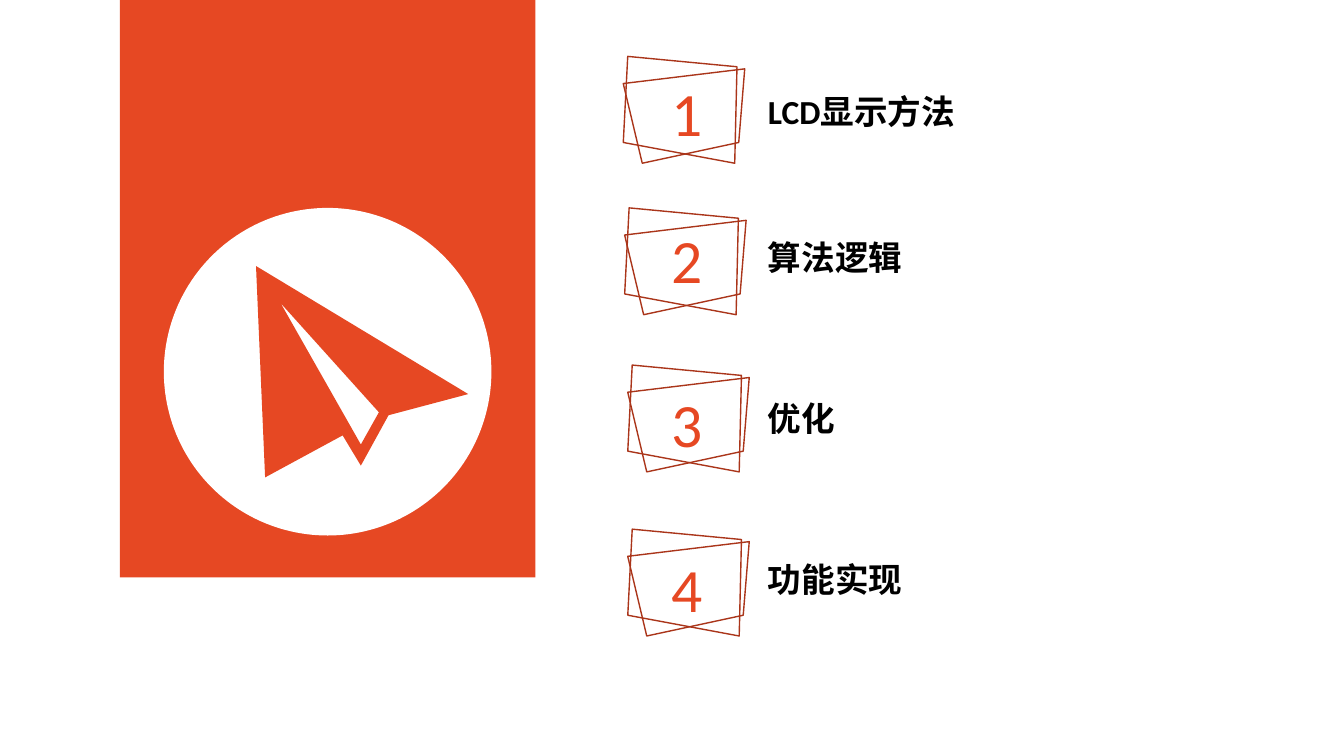
"""Build an agenda slide with a paper plane panel and four numbered topics."""
from pptx import Presentation
from pptx.dml.color import RGBColor
from pptx.enum.shapes import MSO_SHAPE as Shape
from pptx.util import Pt

ORANGE, RUST, WHITE, BLACK = "E64823", "AA351A", "FFFFFF", "000000"
FONT = "Calibri"

# topic, frame left, frame top, number top, topic top
TOPICS = [
    ("LCD显示方法", 445.2, 40.3, 49.7, 61.2),
    ("算法逻辑", 446.2, 148.5, 154.8, 165.6),
    ("优化", 448.4, 260.8, 272.2, 280.8),
    ("功能实现", 448.4, 378, 390.2, 396),
]
NUMBER_LEFT, NUMBER_WIDTH, NUMBER_HEIGHT = 472.3, 31.7, 60.5
TOPIC_LEFT, TOPIC_WIDTH, TOPIC_HEIGHT = 541.4, 318.2, 36

FRAME_OUTLINES = [
    [(3.2, 0), (81.2, 7.4), (79.6, 76.3), (0, 61.5)],
    [(0, 19.4), (86.8, 8.9), (82.5, 61.5), (13.6, 76.3)],
]
PANEL = (85.7, 0, 296.7, 412.4)
DISC = (117, 148.5, 234, 234)
PLANE_CONTOURS = [
    [(182.9, 190), (189.4, 341), (244.8, 311), (257.8, 332.6),
     (277.6, 296.6), (334.5, 281.5)],
    [(257.8, 317.5), (200.5, 216.5), (270.7, 294.5)],
]


def color(code):
    return RGBColor.from_string(code)


def paint(shape, fill=None, line=None):
    shape.shadow.inherit = False
    if fill:
        shape.fill.solid()
        shape.fill.fore_color.rgb = color(fill)
    else:
        shape.fill.background()
    if line:
        shape.line.color.rgb = color(line)
        shape.line.width = Pt(1)
    else:
        shape.line.fill.background()


def add_outline(group, contours, left=0, top=0, **style):
    placed = [[(Pt(left + x), Pt(top + y)) for x, y in contour] for contour in contours]
    builder = group.shapes.build_freeform(*placed[0][0])
    for index, contour in enumerate(placed):
        if index:
            builder.move_to(*contour[0])
        builder.add_line_segments(contour[1:], close=True)
    paint(builder.convert_to_shape(), **style)


def add_text(page, text, bounds, size, code, bold=False):
    box = page.shapes.add_textbox(*map(Pt, bounds))
    box.text_frame.word_wrap = True
    box.text_frame.text = text
    font = box.text_frame.paragraphs[0].runs[0].font
    font.name, font.size, font.bold = FONT, Pt(size), bold
    font.color.rgb = color(code)


def main():
    deck = Presentation()
    deck.slide_width, deck.slide_height = Pt(960), Pt(540)
    page = deck.slides.add_slide(deck.slide_layouts[6])

    emblem = page.shapes.add_group_shape()
    for kind, bounds, fill in ((Shape.RECTANGLE, PANEL, ORANGE), (Shape.OVAL, DISC, WHITE)):
        paint(emblem.shapes.add_shape(kind, *map(Pt, bounds)), fill=fill)
    add_outline(emblem, PLANE_CONTOURS, fill=ORANGE)

    for number, (topic, left, top, number_top, topic_top) in enumerate(TOPICS, 1):
        frame = page.shapes.add_group_shape()
        for outline in FRAME_OUTLINES:
            add_outline(frame, [outline], left, top, line=RUST)
        add_text(page, str(number), (NUMBER_LEFT, number_top, NUMBER_WIDTH, NUMBER_HEIGHT), 44, ORANGE)
        add_text(page, topic, (TOPIC_LEFT, topic_top, TOPIC_WIDTH, TOPIC_HEIGHT), 24, BLACK, bold=True)

    deck.save("out.pptx")


if __name__ == "__main__":
    main()
